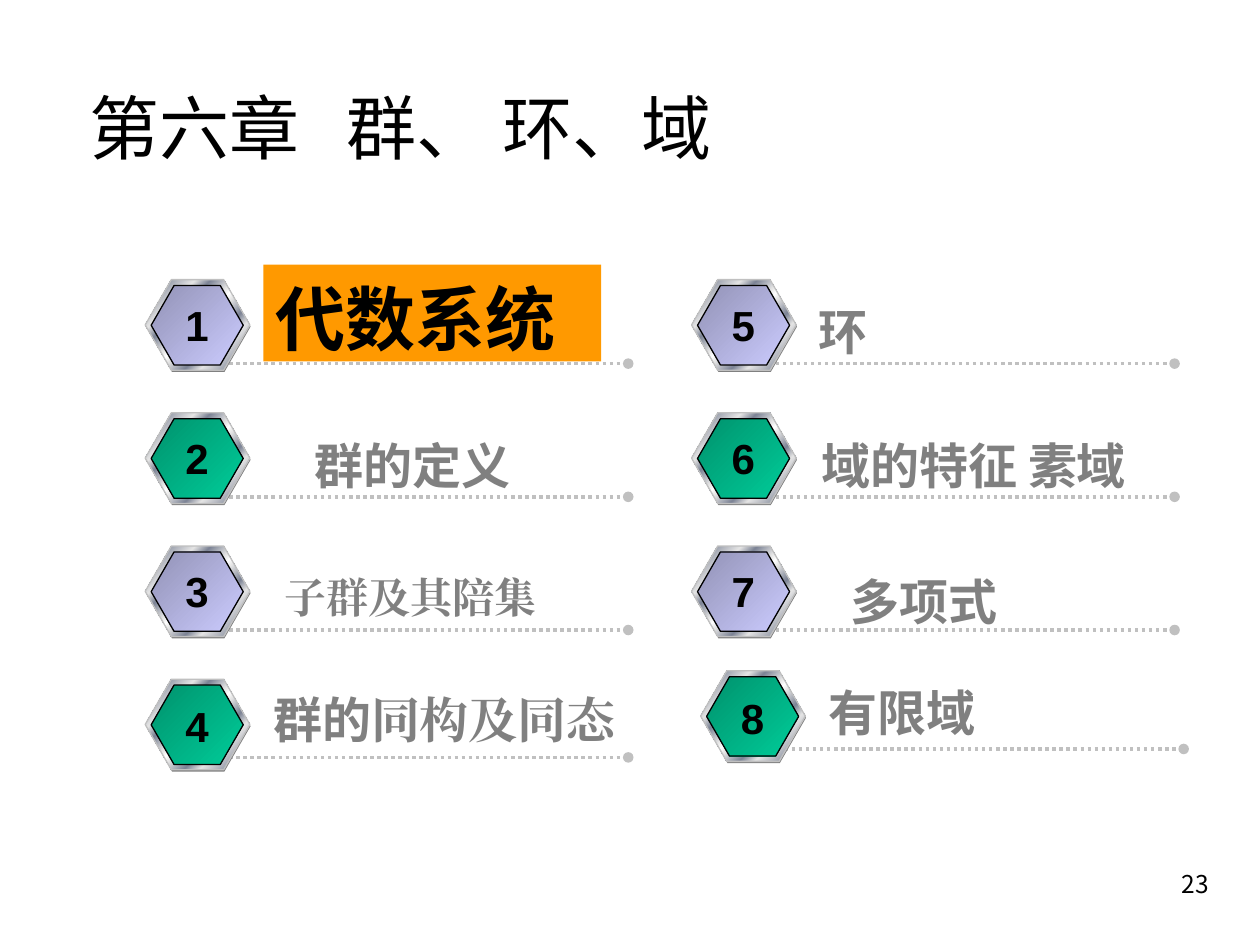
from dataclasses import dataclass
from typing import Optional

from lxml.etree import SubElement
from pptx import Presentation
from pptx.dml.color import RGBColor
from pptx.enum.dml import MSO_LINE
from pptx.enum.lang import MSO_LANGUAGE_ID
from pptx.enum.shapes import MSO_CONNECTOR, MSO_SHAPE
from pptx.enum.text import MSO_ANCHOR, PP_ALIGN
from pptx.oxml.ns import qn
from pptx.util import Pt

CJK = "Noto Sans CJK SC"
TIMES = "Times New Roman"
GREY = "808080"
SILVER = "C0C0C0"
BLACK = "000000"
METAL = [(0, "E6E6E6"), (8, "7D8496"), (26, "E6E6E6"), (34, "7D8496"),
         (46, "E6E6E6"), (50, "FFFFFF"), (54, "E6E6E6"), (66, "7D8496"),
         (74, "E6E6E6"), (92, "7D8496"), (100, "E6E6E6")]
VIOLET = [(0, "9292B6"), (100, "CCCCFF")]
GREEN = [(0, "00926D"), (100, "00CC99")]

COLUMN_LEFTS = (83, 395.2)
FIRST_ROW_TOP = 159.8
ROW_PITCH = 76.1
ROWS = 4


@dataclass
class Section:
    """A chapter section: its label, label box and any shift of its badge."""
    label: str
    left: float
    top: float
    width: float
    height: float = 41
    size: float = 28
    font: str = CJK
    color: str = GREY
    tail: str = ""
    fill: Optional[str] = None
    shift: tuple[float, float] = (0, 0)


SECTIONS = [
    Section("代数系统", 150.5, 151.2, 193, 55.4, size=40, color=BLACK, fill="FF9900"),
    Section("群的定义", 172.8, 243.4, 150),
    Section("子群及其陪集", 155.5, 321.1, 199, 70, size=24, font=TIMES),
    Section("群的", 149, 388.8, 222.5, tail="同构及同态"),
    Section("环", 460.8, 167, 192),
    Section("域的特征 素域", 462.2, 243.4, 209.5),
    Section("多项式", 478.8, 321.1, 150),
    Section("有限域", 466.6, 384.5, 222.5, shift=(5.2, -4.8)),
]


def rgb(color: str) -> RGBColor:
    return RGBColor.from_string(color)


def add_span(para, text: str, size: float, font: str, color: str, bold: bool) -> None:
    span = para.add_run()
    span.text = text
    span.font.size = Pt(size)
    span.font.bold = bold
    span.font.name = font
    span.font.language_id = MSO_LANGUAGE_ID.SIMPLIFIED_CHINESE
    span.font.color.rgb = rgb(color)
    latin = span.font._element.find(qn("a:latin"))
    east_asian = latin.makeelement(qn("a:ea"), {"typeface": font})
    latin.addnext(east_asian)


def write(page, text: str, left: float, top: float, width: float, height: float, *,
          size: float, font: str = CJK, color: str = BLACK, bold: bool = False,
          align=PP_ALIGN.LEFT, wrap: bool = True, leading: float = 1.27,
          fill: Optional[str] = None, tail: str = "", tab: float = 0):
    """Add a text box; tail is a second span in Times, tab a tab stop."""
    box = page.shapes.add_textbox(Pt(left), Pt(top), Pt(width), Pt(height))
    if fill:
        box.fill.solid()
        box.fill.fore_color.rgb = rgb(fill)
    frame = box.text_frame
    frame.word_wrap = wrap
    frame.vertical_anchor = MSO_ANCHOR.TOP
    para = frame.paragraphs[0]
    para.alignment = align
    para.line_spacing = Pt(size * leading)
    if tab:
        stops = SubElement(para._p.get_or_add_pPr(), qn("a:tabLst"))
        SubElement(stops, qn("a:tab"), pos=str(Pt(tab)), algn="l")
    add_span(para, text, size, font, color, bold)
    if tail:
        add_span(para, tail, size, TIMES, color, bold)


def add_hexagon(page, left: float, top: float, width: float, height: float,
                stops: list, outline: Optional[str] = None) -> None:
    """Add a hexagon filled with diagonal gradient stops, or plain if only one."""
    hexagon = page.shapes.add_shape(
        MSO_SHAPE.HEXAGON, Pt(left), Pt(top), Pt(width), Pt(height))
    hexagon.adjustments[0] = 0.289
    hexagon.shadow.inherit = False
    if len(stops) == 1:
        hexagon.fill.solid()
        hexagon.fill.fore_color.rgb = rgb(stops[0][1])
    else:
        hexagon.fill.gradient()
        gradient = hexagon._element.spPr.find(qn("a:gradFill"))
        for child in list(gradient):
            gradient.remove(child)
        stop_list = SubElement(gradient, qn("a:gsLst"))
        for percent, color in stops:
            stop = SubElement(stop_list, qn("a:gs"), pos=str(percent * 1000))
            SubElement(stop, qn("a:srgbClr"), val=color)
        SubElement(gradient, qn("a:lin"), ang=str(45 * 60000), scaled="0")
    if outline:
        hexagon.line.color.rgb = rgb(outline)
        hexagon.line.width = Pt(0.75)
    else:
        hexagon.line.fill.background()


def add_dotted_line(page, left: float, top: float, length: float) -> None:
    rule = page.shapes.add_connector(
        MSO_CONNECTOR.STRAIGHT, Pt(left), Pt(top), Pt(left + length), Pt(top))
    rule.line.color.rgb = rgb(SILVER)
    rule.line.width = Pt(2)
    rule.line.dash_style = MSO_LINE.ROUND_DOT
    SubElement(rule.line._get_or_add_ln(), qn("a:tailEnd"), type="oval")
    SubElement(rule._element.spPr, qn("a:effectLst"))


def add_section(page, index: int, section: Section) -> None:
    column, row = divmod(index, ROWS)
    left = COLUMN_LEFTS[column] + section.shift[0]
    top = FIRST_ROW_TOP + row * ROW_PITCH + section.shift[1]
    last_row = row == ROWS - 1
    add_dotted_line(page, left + 48, top + (44.7 if last_row else 48), 228)
    add_hexagon(page, left + 0.4, top + 1, 59.8, 51.8, [(0, GREY)])
    add_hexagon(page, left, top, 59.8, 51.8, METAL, SILVER)
    add_hexagon(page, left + 3.4, top + 3.4, 52.6, 45.4,
                GREEN if row % 2 else VIOLET, BLACK)
    write(page, str(index + 1), left + 15.6, top + (8.8 if last_row else 7.8), 28, 36,
          size=24, font="Arial", bold=True, align=PP_ALIGN.CENTER, wrap=False,
          leading=1.2)
    write(page, section.label, section.left, section.top, section.width, section.height,
          size=section.size, font=section.font, color=section.color, bold=True,
          fill=section.fill, tail=section.tail)


def main() -> None:
    deck = Presentation()
    deck.slide_width, deck.slide_height = Pt(720), Pt(540)
    page = deck.slides.add_slide(deck.slide_layouts[6])
    for index, section in enumerate(SECTIONS):
        add_section(page, index, section)
    write(page, "第六章\t群、 环、域", 44, 41.8, 631.4, 70, size=40, tab=147)
    write(page, "23", 548, 491.8, 149.8, 36, size=14, font="Noto Sans CJK KR",
          align=PP_ALIGN.RIGHT)
    deck.save("out.pptx")


if __name__ == "__main__":
    main()
